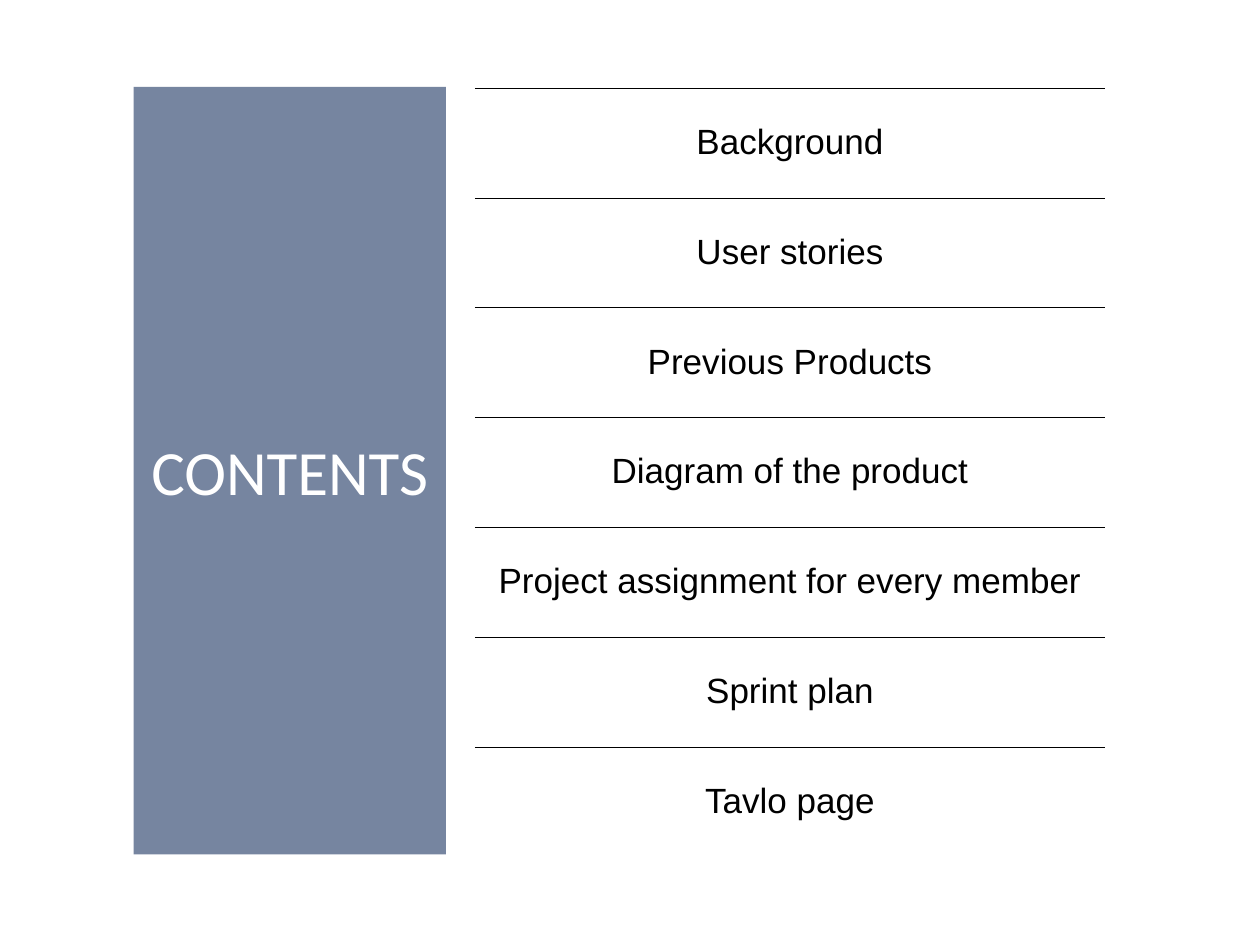
from dataclasses import dataclass
from typing import Any

from lxml.etree import SubElement
from pptx import Presentation
from pptx.dml.color import RGBColor
from pptx.enum.shapes import MSO_CONNECTOR, MSO_SHAPE
from pptx.enum.text import MSO_ANCHOR, PP_ALIGN
from pptx.oxml.ns import qn
from pptx.util import Inches, Pt

LEFT, TOP, WIDTH, PITCH = 3.77, 0.7, 5.0, 0.872
TOPICS = (
    "Background",
    "User stories",
    "Previous Products",
    "Diagram of the product",
    "Project assignment for every member",
    "Sprint plan",
    "Tavlo page",
)
ITEM = {"name": "Arial", "size": Pt(20)}
TITLE = {"name": "Calibri", "size": Pt(36)}
SPACING = {"line_spacing": 1.5, "space_after": Pt(12)}
MARGINS = {
    "margin_" + side: Inches(0.08) for side in ("left", "top", "right", "bottom")
}


@dataclass
class Entry:
    """One topic and the height at which its row starts."""

    text: str
    top: float


def paint(target: Any, code: str) -> None:
    """Set a colour from its hex string."""
    target.rgb = RGBColor.from_string(code)


def apply(target: Any, values: dict[str, Any]) -> None:
    """Set each named attribute."""
    for name, value in values.items():
        setattr(target, name, value)


def write(frame: Any, text: str, font: dict[str, Any], code: str) -> Any:
    """Fill a frame with one centred paragraph."""
    frame.word_wrap = True
    para = frame.paragraphs[0]
    para.alignment = PP_ALIGN.CENTER
    run = para.add_run()
    run.text = text
    apply(run.font, font)
    paint(run.font.color, code)
    return para


def draw_entry(slide: Any, entry: Entry) -> None:
    """Draw a rule with its topic below."""
    left, top, width = Inches(LEFT), Inches(entry.top), Inches(WIDTH)
    rule = slide.shapes.add_connector(
        MSO_CONNECTOR.STRAIGHT, left, top, left + width, top
    )
    rule.line.width = Pt(0.5)
    paint(rule.line.color, "000000")
    SubElement(rule.element.spPr, qn("a:effectLst"))
    frame = slide.shapes.add_textbox(left, top, width, Inches(PITCH)).text_frame
    apply(frame, MARGINS)
    apply(write(frame, entry.text, ITEM, "000000"), SPACING)


def draw_panel(slide: Any) -> None:
    """Draw the translucent title panel."""
    panel = slide.shapes.add_shape(
        MSO_SHAPE.RECTANGLE, Inches(1.06), Inches(0.69), Inches(2.48), Inches(6.09)
    )
    panel.shadow.inherit = False
    panel.line.fill.background()
    panel.fill.solid()
    paint(panel.fill.fore_color, "203864")
    color = panel.element.spPr.find(qn("a:solidFill")).find(qn("a:srgbClr"))
    SubElement(color, qn("a:alpha")).set("val", "61000")
    panel.text_frame.vertical_anchor = MSO_ANCHOR.MIDDLE
    write(panel.text_frame, "CONTENTS", TITLE, "FFFFFF")


def main() -> None:
    """Build and save the contents slide."""
    deck = Presentation()
    apply(deck, {"slide_width": Inches(10), "slide_height": Inches(7.5)})
    slide = deck.slides.add_slide(deck.slide_layouts[6])
    for index, text in enumerate(TOPICS):
        draw_entry(slide, Entry(text, TOP + index * PITCH))
    draw_panel(slide)
    deck.save("out.pptx")


if __name__ == "__main__":
    main()
